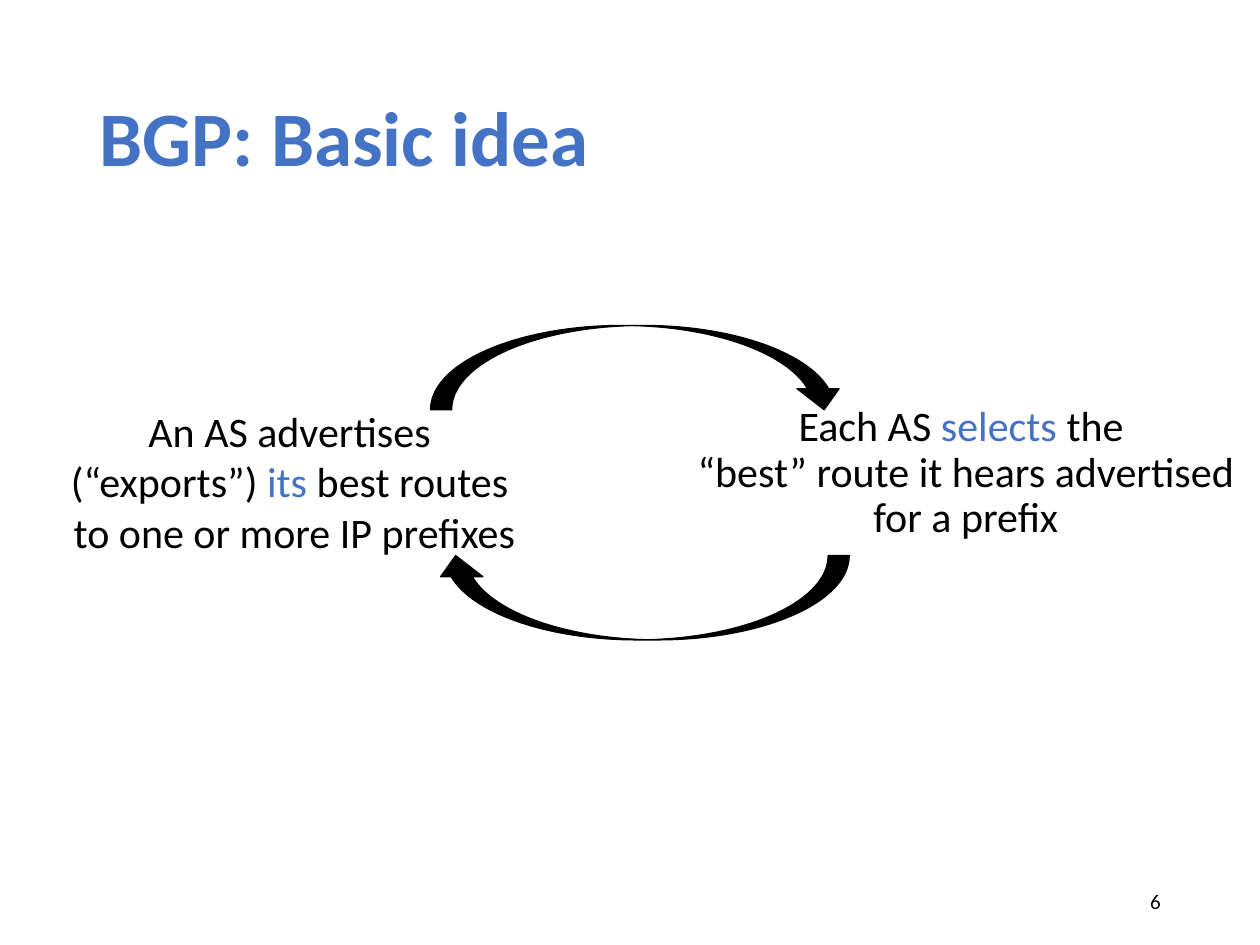
"""Build the slide on the basic idea of BGP."""
from dataclasses import dataclass

from pptx import Presentation
from pptx.dml.color import RGBColor
from pptx.enum.shapes import MSO_SHAPE
from pptx.enum.text import MSO_ANCHOR, MSO_AUTO_SIZE, PP_ALIGN
from pptx.util import Cm, Pt

ARROW = MSO_SHAPE.CURVED_LEFT_ARROW
TOP, MIDDLE = MSO_ANCHOR.TOP, MSO_ANCHOR.MIDDLE
LEFT, CENTER, RIGHT = PP_ALIGN.LEFT, PP_ALIGN.CENTER, PP_ALIGN.RIGHT
FIXED = MSO_AUTO_SIZE.NONE


@dataclass(frozen=True)
class Theme:
    """Colours, font and type sizes of the slide."""
    ink: RGBColor = RGBColor(0x00, 0x00, 0x00)
    blue: RGBColor = RGBColor(0x44, 0x72, 0xC4)
    font: str = "Calibri"
    head: int = 44
    body: int = 24
    note: int = 12


@dataclass(frozen=True)
class Box:
    """A place on the slide in centimetres."""
    left: float
    top: float
    width: float
    height: float

    def place(self) -> tuple:
        """Return the four lengths in the order shapes take them."""
        return Cm(self.left), Cm(self.top), Cm(self.width), Cm(self.height)


@dataclass(frozen=True)
class Step:
    """One step of the cycle, as lines of (words, is key) pairs."""
    box: Box
    lines: tuple
    space: float


@dataclass(frozen=True)
class Turn:
    """A curved arrow with its angle."""
    box: Box
    angle: int


THEME = Theme()
STEPS = (
    Step(Box(13.54, 8.05, 11.86, 3.61), (
        (("Each AS ", False), ("selects", True), (" the ", False)),
        (("“best” route it hears advertised for a prefix", False),),
    ), 0.9),
    Step(Box(0.64, 8.05, 10.59, 3.61), (
        (("An AS advertises ", False),),
        (("(“exports”) ", False), ("its", True), (" best routes ", False)),
        (("to one or more IP prefixes", False),),
    ), 1.0),
)
TURNS = (
    Turn(Box(12.01, 3.23, 1.7, 8.36), 270),
    Turn(Box(12.09, 7.87, 1.7, 8.36), 90),
)


def write(shape, lines: tuple, *, size: int, color: RGBColor = THEME.ink,
          bold: bool = False, align=LEFT, anchor=TOP, space: float = 1.0) -> None:
    """Fill a shape with one paragraph of lines, key words in blue."""
    frame = shape.text_frame
    frame.word_wrap = True
    frame.auto_size = FIXED
    frame.vertical_anchor = anchor
    para = frame.paragraphs[0]
    para.alignment = align
    para.line_spacing = space
    para.space_before = Pt(0)
    for index, line in enumerate(lines):
        if index:
            para.add_line_break()
        for words, key in line:
            run = para.add_run()
            run.text = words
            font = run.font
            font.name, font.size, font.bold = THEME.font, Pt(size), bold
            font.color.rgb = THEME.blue if key else color


def draw_step(slide, step: Step) -> None:
    """Draw the text of one step."""
    shape = slide.shapes.add_textbox(*step.box.place())
    write(shape, step.lines, size=THEME.body, align=CENTER, space=step.space)


def draw_turn(slide, turn: Turn) -> None:
    """Draw one curved arrow."""
    shape = slide.shapes.add_shape(ARROW, *turn.box.place())
    shape.rotation = turn.angle
    shape.shadow.inherit = False
    shape.fill.solid()
    shape.fill.fore_color.rgb = THEME.ink
    shape.line.color.rgb = THEME.ink
    shape.line.width = Pt(0.75)


def main() -> None:
    """Build and save the slide."""
    deck = Presentation()
    deck.slide_width, deck.slide_height = Cm(25.4), Cm(19.05)
    slide = deck.slides.add_slide(deck.slide_layouts[5])
    title = slide.shapes.title
    title.left, title.top, title.width, title.height = Box(
        1.75, 1.02, 21.89, 3.68).place()
    write(title, ((("BGP: Basic idea", False),),), size=THEME.head,
          color=THEME.blue, bold=True, anchor=MIDDLE, space=0.9)
    for step, turn in zip(STEPS, TURNS):
        draw_step(slide, step)
        draw_turn(slide, turn)
    page = slide.shapes.add_textbox(*Box(17.93, 17.65, 5.72, 1.02).place())
    write(page, ((("6", False),),), size=THEME.note, align=RIGHT, anchor=MIDDLE)
    deck.save("out.pptx")


if __name__ == "__main__":
    main()
